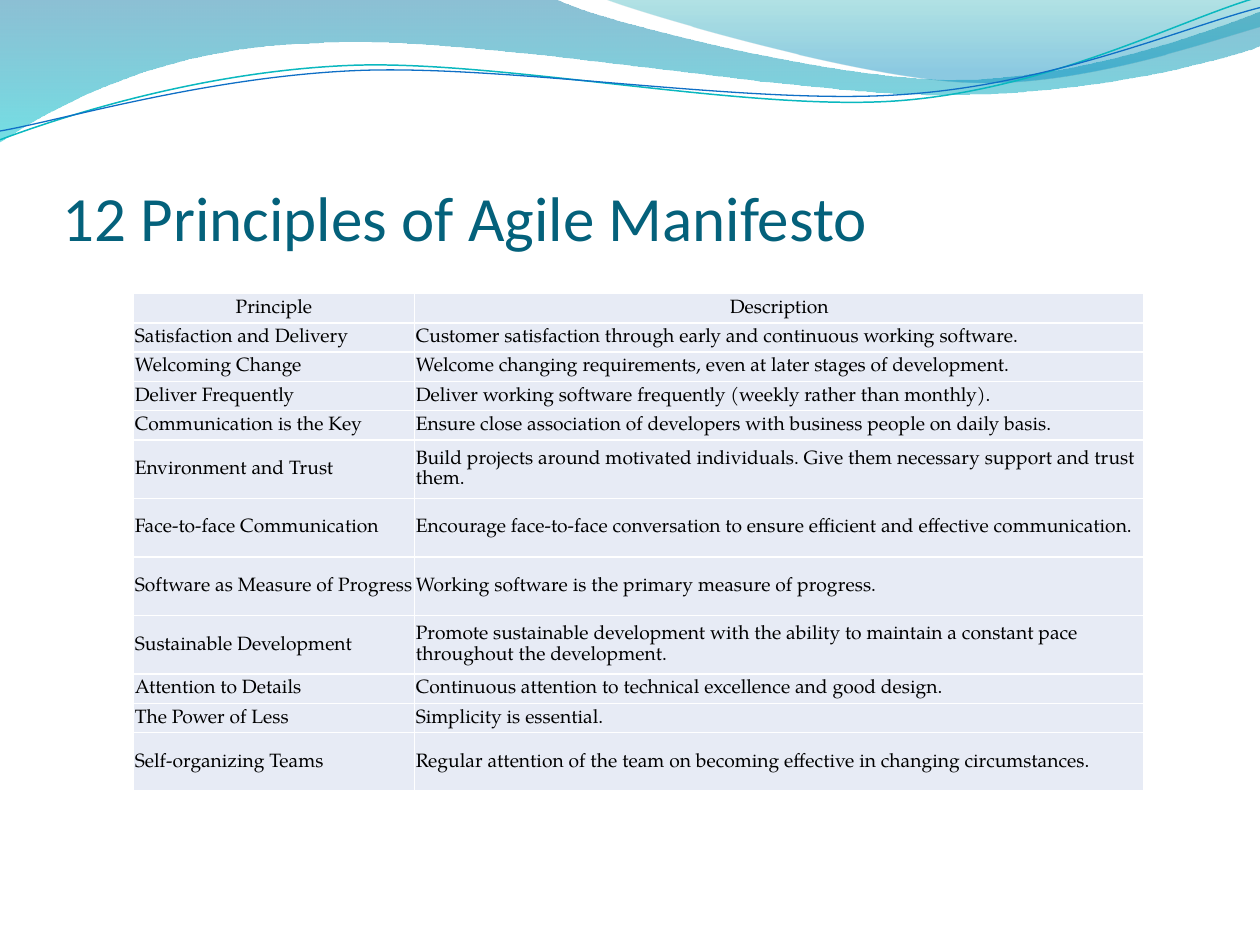
import math
from dataclasses import dataclass

import pptx
import pptx.dml.color
import pptx.enum.text
import pptx.oxml
import pptx.oxml.ns
import pptx.util

COLORS = {
    "title": "04617B", "text": "000000", "cell": "E7EBF5", "border": "FFFFFF",
    "deep": "0074A1", "aqua": "00C6CF", "teal": "00A1A9", "sky": "008BBF",
    "teal line": "0AB8BF", "blue line": "0F6FC6",
}
ROW_UNIT = 3.95 / 17
COLUMN_WIDTHS = (2.23, 5.79)
Point = tuple[float, float]


@dataclass
class GradientStop:
    position: float
    color: str
    opacity: int


@dataclass
class Wave:
    """Each segment holds one end point, or two control points and an end point."""
    box: tuple[float, float, float, float]
    start: Point
    segments: list[tuple[Point, ...]]
    stops: tuple[GradientStop, ...] = ()
    line_color: str = ""
    line_width: float = 0
    tilt: float = 0


@dataclass
class Principle:
    name: str
    description: str
    units: int = 1


WAVES = [
    Wave((-0.01, -0.01, 10.02, 1.14), (0, 0), [
        ((4.4, -0.01),),
        ((4.76, 0.17), (6.64, 0.63), (7.58, 0.63)),
        ((8.53, 0.63), (9.58, 0.26), (10, 0.09)),
        ((10.01, 0.36),),
        ((9.83, 0.44), (8.7, 0.76), (7.46, 0.75)),
        ((6.22, 0.75), (3.82, 0.28), (2.57, 0.34)),
        ((1.29, 0.36), (0.46, 0.83), (-0.01, 1.13)),
        ((0, 0),),
    ], stops=(GradientStop(0, "deep", 45), GradientStop(1, "aqua", 55))),
    Wave((4.79, -0.01, 5.21, 0.7), (4.79, -0.01), [
        ((5.09, 0.11), (6.82, 0.62), (7.69, 0.65)),
        ((8.56, 0.69), (9.61, 0.32), (10, 0.21)),
        ((10, 0),),
        ((4.79, -0.01),),
    ], stops=(GradientStop(0, "teal", 30), GradientStop(0.8, "sky", 45))),
    Wave((-0.02, 0.22, 10.02, 0.71), (0, 1.11), [
        ((0.48, 0.93), (1.58, 0.57), (2.77, 0.52)),
        ((3.95, 0.47), (5.93, 0.89), (7.13, 0.8)),
        ((8.33, 0.71), (9.38, 0.15), (9.98, -0.02)),
    ], line_color="teal line", line_width=0.85, tilt=-2.7),
    Wave((-0.02, 0.3, 10.03, 0.58), (0, 1.04), [
        ((0.47, 0.96), (1.64, 0.61), (2.83, 0.56)),
        ((4.03, 0.51), (5.97, 0.84), (7.17, 0.75)),
        ((8.36, 0.67), (9.41, 0.21), (10, 0.06)),
    ], line_color="blue line", line_width=0.75, tilt=-2.7),
]

PRINCIPLES = [
    Principle("Principle", "Description"),
    Principle("Satisfaction and Delivery",
              "Customer satisfaction through early and continuous working software."),
    Principle("Welcoming Change",
              "Welcome changing requirements, even at later stages of development."),
    Principle("Deliver Frequently",
              "Deliver working software frequently (weekly rather than monthly)."),
    Principle("Communication is the Key",
              "Ensure close association of developers with business people on daily basis."),
    Principle("Environment and Trust",
              "Build projects around motivated individuals. "
              "Give them necessary support and trust them.", 2),
    Principle("Face-to-face Communication",
              "Encourage face-to-face conversation to ensure efficient "
              "and effective communication.", 2),
    Principle("Software as Measure of Progress",
              "Working software is the primary measure of progress.", 2),
    Principle("Sustainable Development",
              "Promote sustainable development with the ability to maintain "
              "a constant pace throughout the development.", 2),
    Principle("Attention to Details",
              "Continuous attention to technical excellence and good design."),
    Principle("The Power of Less", "Simplicity is essential."),
    Principle("Self-organizing Teams",
              "Regular attention of the team on becoming effective "
              "in changing circumstances.", 2),
]


def rgb(name: str) -> pptx.dml.color.RGBColor:
    return pptx.dml.color.RGBColor.from_string(COLORS[name])


def emu(*lengths: float) -> list[int]:
    return [pptx.util.Inches(length) for length in lengths]


def local_point(wave: Wave, point: Point) -> list[int]:
    """Position inside the wave's box, before the box is tilted."""
    left, top, width, height = wave.box
    x, y = point[0] - left - width / 2, point[1] - top - height / 2
    angle = math.radians(-wave.tilt)
    return emu(x * math.cos(angle) - y * math.sin(angle) + width / 2,
               x * math.sin(angle) + y * math.cos(angle) + height / 2)


def path_xml(wave: Wave) -> str:
    def command(tag: str, points: tuple[Point, ...]) -> str:
        positions = (local_point(wave, point) for point in points)
        inner = "".join(f'<a:pt x="{x}" y="{y}"/>' for x, y in positions)
        return f"<a:{tag}>{inner}</a:{tag}>"

    width, height = emu(*wave.box[2:])
    commands = command("moveTo", (wave.start,)) + "".join(
        command("cubicBezTo" if len(segment) == 3 else "lnTo", segment)
        for segment in wave.segments)
    closing = "<a:close/>" if wave.stops else ""
    return (f'<a:path {pptx.oxml.ns.nsdecls("a")} w="{width}" h="{height}">'
            f"{commands}{closing}</a:path>")


def draw_wave(slide, wave: Wave) -> None:
    builder = slide.shapes.build_freeform(*emu(*wave.start))
    builder.add_line_segments([emu(*segment[-1]) for segment in wave.segments])
    shape = builder.convert_to_shape()
    # Curved outline
    straight = next(shape._element.iter(pptx.oxml.ns.qn("a:path")))
    straight.getparent().replace(straight, pptx.oxml.parse_xml(path_xml(wave)))
    shape.left, shape.top, shape.width, shape.height = emu(*wave.box)
    shape.rotation = wave.tilt
    shape.shadow.inherit = False
    if not wave.stops:
        shape.fill.background()
        shape.line.color.rgb = rgb(wave.line_color)
        shape.line.width = pptx.util.Pt(wave.line_width)
        return
    # Translucent gradient
    shape.line.fill.background()
    shape.fill.gradient()
    shape.fill.gradient_angle = 270
    for target, stop in zip(shape.fill.gradient_stops, wave.stops):
        target.position = stop.position
        target.color.rgb = rgb(stop.color)
    color_elements = list(shape._element.spPr.iter(pptx.oxml.ns.qn("a:srgbClr")))
    for element, stop in zip(color_elements, wave.stops):
        element.append(element.makeelement(
            pptx.oxml.ns.qn("a:alpha"), {"val": str(stop.opacity * 1000)}))


def style_cell(cell, text: str, centered: bool) -> None:
    cell.text = text
    cell.vertical_anchor = pptx.enum.text.MSO_ANCHOR.MIDDLE
    cell.margin_left = cell.margin_right = cell.margin_top = pptx.util.Inches(0.01)
    cell.margin_bottom = 0
    paragraph = cell.text_frame.paragraphs[0]
    align = pptx.enum.text.PP_ALIGN
    paragraph.alignment = align.CENTER if centered else align.LEFT
    paragraph.line_spacing = pptx.util.Pt(11.5)
    paragraph.font.name = "TeX Gyre Pagella"
    paragraph.font.size = pptx.util.Pt(11)
    paragraph.font.color.rgb = rgb("text")
    properties = cell._tc.get_or_add_tcPr()
    for side in ("lnL", "lnR", "lnT", "lnB"):
        properties.append(pptx.oxml.parse_xml(
            f'<a:{side} {pptx.oxml.ns.nsdecls("a")} w="12700"><a:solidFill>'
            f'<a:srgbClr val="{COLORS["border"]}"/></a:solidFill></a:{side}>'))
    cell.fill.solid()
    cell.fill.fore_color.rgb = rgb("cell")


def draw_table(slide) -> None:
    table = slide.shapes.add_table(
        len(PRINCIPLES), len(COLUMN_WIDTHS),
        *emu(1.06, 2.33, sum(COLUMN_WIDTHS), 17 * ROW_UNIT)).table
    table.first_row = table.horz_banding = False
    for column, width in zip(table.columns, COLUMN_WIDTHS):
        column.width = pptx.util.Inches(width)
    for index, principle in enumerate(PRINCIPLES):
        table.rows[index].height = pptx.util.Inches(principle.units * ROW_UNIT)
        for column, text in enumerate((principle.name, principle.description)):
            style_cell(table.cell(index, column), text, centered=index == 0)


def draw_title(slide) -> None:
    frame = slide.shapes.add_textbox(*emu(0.5, 0.77, 9, 1.25)).text_frame
    frame.word_wrap = True
    frame.vertical_anchor = pptx.enum.text.MSO_ANCHOR.BOTTOM
    frame.margin_left = frame.margin_right = frame.margin_bottom = 0
    paragraph = frame.paragraphs[0]
    paragraph.text = "12 Principles of Agile Manifesto"
    paragraph.font.name = "Calibri"
    paragraph.font.size = pptx.util.Pt(36)
    paragraph.font.color.rgb = rgb("title")


presentation = pptx.Presentation()
presentation.slide_width, presentation.slide_height = emu(10, 7.5)
slide = presentation.slides.add_slide(presentation.slide_layouts[6])
# Header waves, then the content
for wave in WAVES:
    draw_wave(slide, wave)
draw_title(slide)
draw_table(slide)
presentation.save("out.pptx")
